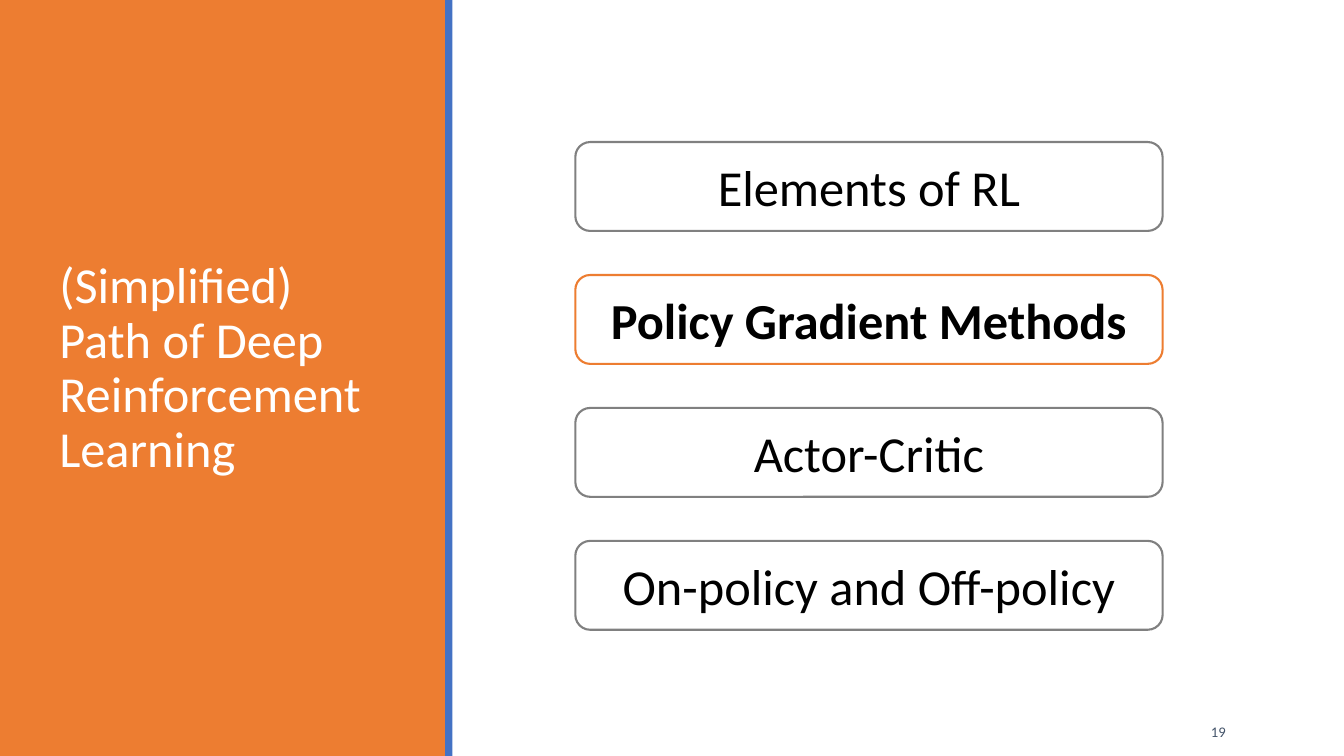
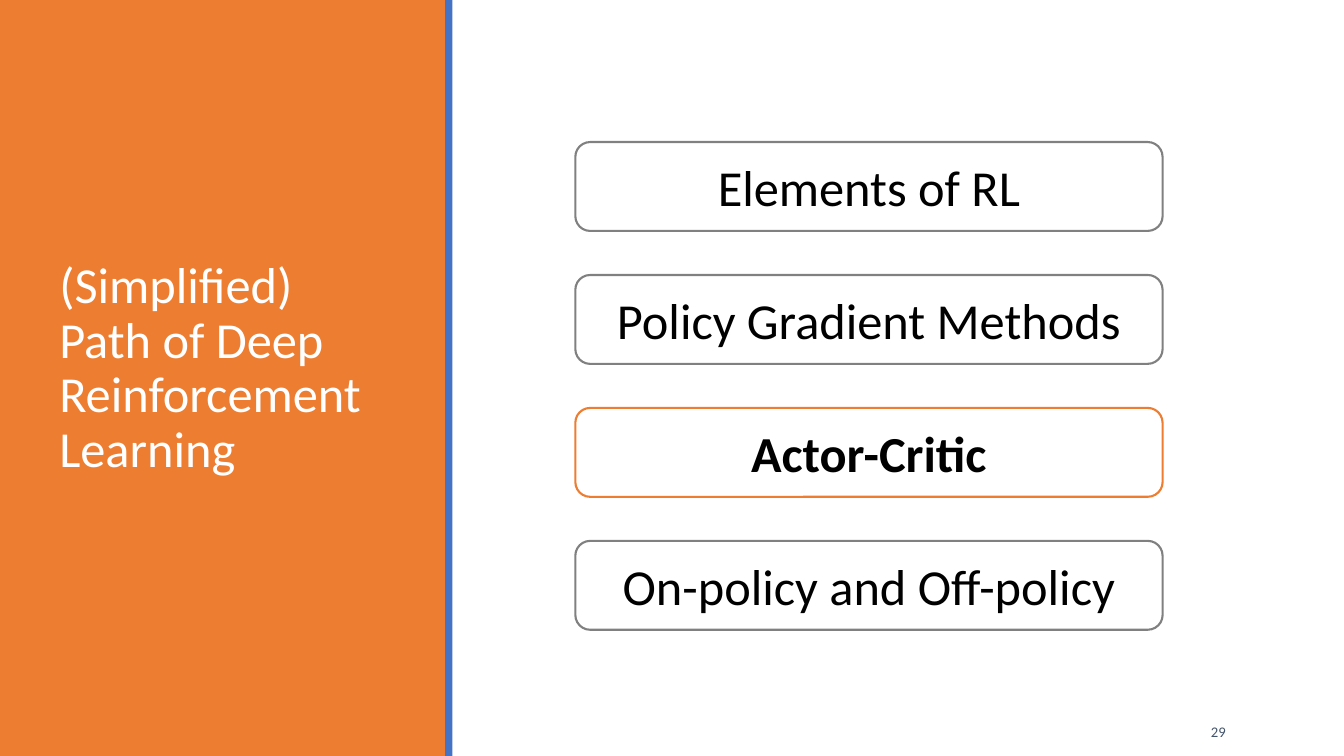
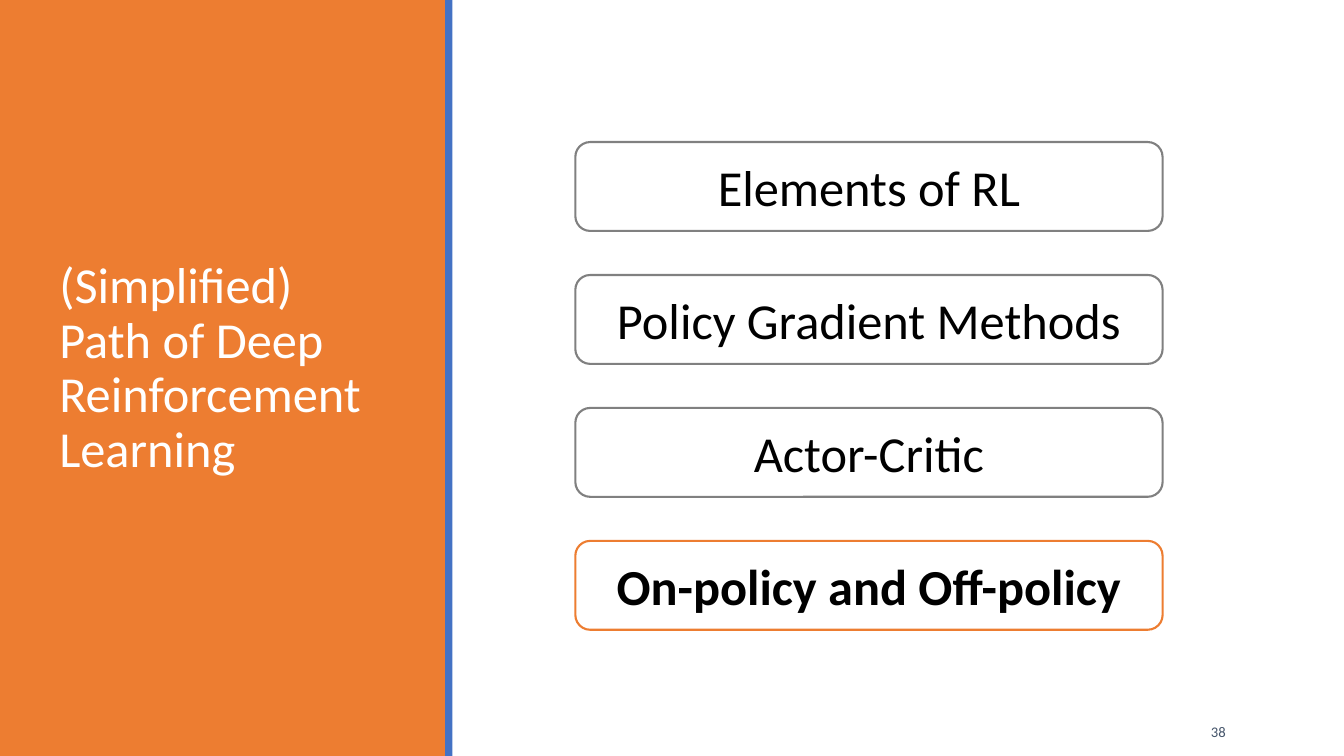
from pptx import Presentation
from pptx.dml.color import RGBColor
from pptx.enum.shapes import MSO_SHAPE
from pptx.enum.text import MSO_ANCHOR, MSO_AUTO_SIZE, PP_ALIGN
from pptx.util import Cm, Pt

RECTANGLE = MSO_SHAPE.RECTANGLE
ROUNDED = MSO_SHAPE.ROUNDED_RECTANGLE
TOP, MIDDLE = MSO_ANCHOR.TOP, MSO_ANCHOR.MIDDLE
LEFT, CENTER, RIGHT = PP_ALIGN.LEFT, PP_ALIGN.CENTER, PP_ALIGN.RIGHT
NO_AUTOFIT = MSO_AUTO_SIZE.NONE

FONT = "Calibri"
ORANGE, BLUE, GREY = "ED7D31", "4472C4", "808080"
WHITE, BLACK, SLATE = "FFFFFF", "000000", "44546A"

SLIDE_WIDTH, SLIDE_HEIGHT = Cm(33.87), Cm(19.05)
BANDS = [(Cm(0), Cm(11.25), ORANGE), (Cm(11.22), Cm(0.18), BLUE)]
STEP_LEFT, STEP_TOP = Cm(14.5), Cm(3.58)
STEP_WIDTH, STEP_HEIGHT, STEP_PITCH = Cm(14.8), Cm(2.24), Cm(3.35)

TITLE_LINES = ["(Simplified)", "Path of Deep Reinforcement Learning"]
STEPS = ["Elements of RL", "Policy Gradient Methods", "Actor-Critic", "On-policy and Off-policy"]
SLIDES = [("19", "Policy Gradient Methods"), ("29", "Actor-Critic"), ("38", "On-policy and Off-policy")]


def rgb(value):
    """Turn a hex string into a colour."""
    return RGBColor.from_string(value)


def add_run(paragraph, text, size, color, bold=False):
    """Add one formatted run to a paragraph."""
    run = paragraph.add_run()
    run.text = text
    run.font.name = FONT
    run.font.size = Pt(size)
    run.font.bold = bold
    run.font.color.rgb = rgb(color)


def prepare_text(shape, anchor, alignment):
    """Set wrapping, anchor and alignment, and return the first paragraph."""
    frame = shape.text_frame
    frame.word_wrap = True
    frame.auto_size = NO_AUTOFIT
    frame.vertical_anchor = anchor
    paragraph = frame.paragraphs[0]
    paragraph.alignment = alignment
    return paragraph


def move_bands_to_layout(slide, layout):
    """Draw the side bands and place them behind everything on the layout."""
    for index, (left, width, color) in enumerate(BANDS):
        band = slide.shapes.add_shape(RECTANGLE, left, 0, width, SLIDE_HEIGHT)
        band.shadow.inherit = False
        band.fill.solid()
        band.fill.fore_color.rgb = rgb(color)
        band.line.fill.background()
        layout.shapes.element.insert(2 + index, band.element)


def fill_title(slide):
    """Write the title on the orange band."""
    title = slide.shapes.title
    title.left, title.top, title.width, title.height = Cm(1.24), Cm(6.43), Cm(8.89), Cm(9.4)
    paragraph = prepare_text(title, TOP, LEFT)
    paragraph.line_spacing = 0.9
    for index, line in enumerate(TITLE_LINES):
        if index:
            paragraph.add_line_break()
        add_run(paragraph, line, 36, WHITE)


def add_page_number(slide, number):
    """Write the page number at the lower right."""
    box = slide.shapes.add_textbox(Cm(27.51), Cm(17.93), Cm(3.63), Cm(1.02))
    add_run(prepare_text(box, MIDDLE, RIGHT), number, 10.5, SLATE)


def add_step(slide, index, text, current):
    """Add one outlined step of the path, highlighted when current."""
    top = STEP_TOP + index * STEP_PITCH
    step = slide.shapes.add_shape(ROUNDED, STEP_LEFT, top, STEP_WIDTH, STEP_HEIGHT)
    step.shadow.inherit = False
    step.fill.background()
    step.line.color.rgb = rgb(ORANGE if current else GREY)
    step.line.width = Pt(1.5)
    add_run(prepare_text(step, MIDDLE, CENTER), text, 36, BLACK, current)


def add_path_slide(presentation, layout, number, current_step):
    """Add a slide of the path with one step highlighted."""
    slide = presentation.slides.add_slide(layout)
    fill_title(slide)
    add_page_number(slide, number)
    for index, text in enumerate(STEPS):
        add_step(slide, index, text, text == current_step)
    return slide


def main():
    """Build and save the presentation."""
    presentation = Presentation()
    presentation.slide_width, presentation.slide_height = SLIDE_WIDTH, SLIDE_HEIGHT
    layout = presentation.slide_layouts.get_by_name("Title Only")
    slides = [add_path_slide(presentation, layout, *content) for content in SLIDES]
    move_bands_to_layout(slides[0], layout)
    presentation.save("out.pptx")


if __name__ == "__main__":
    main()
